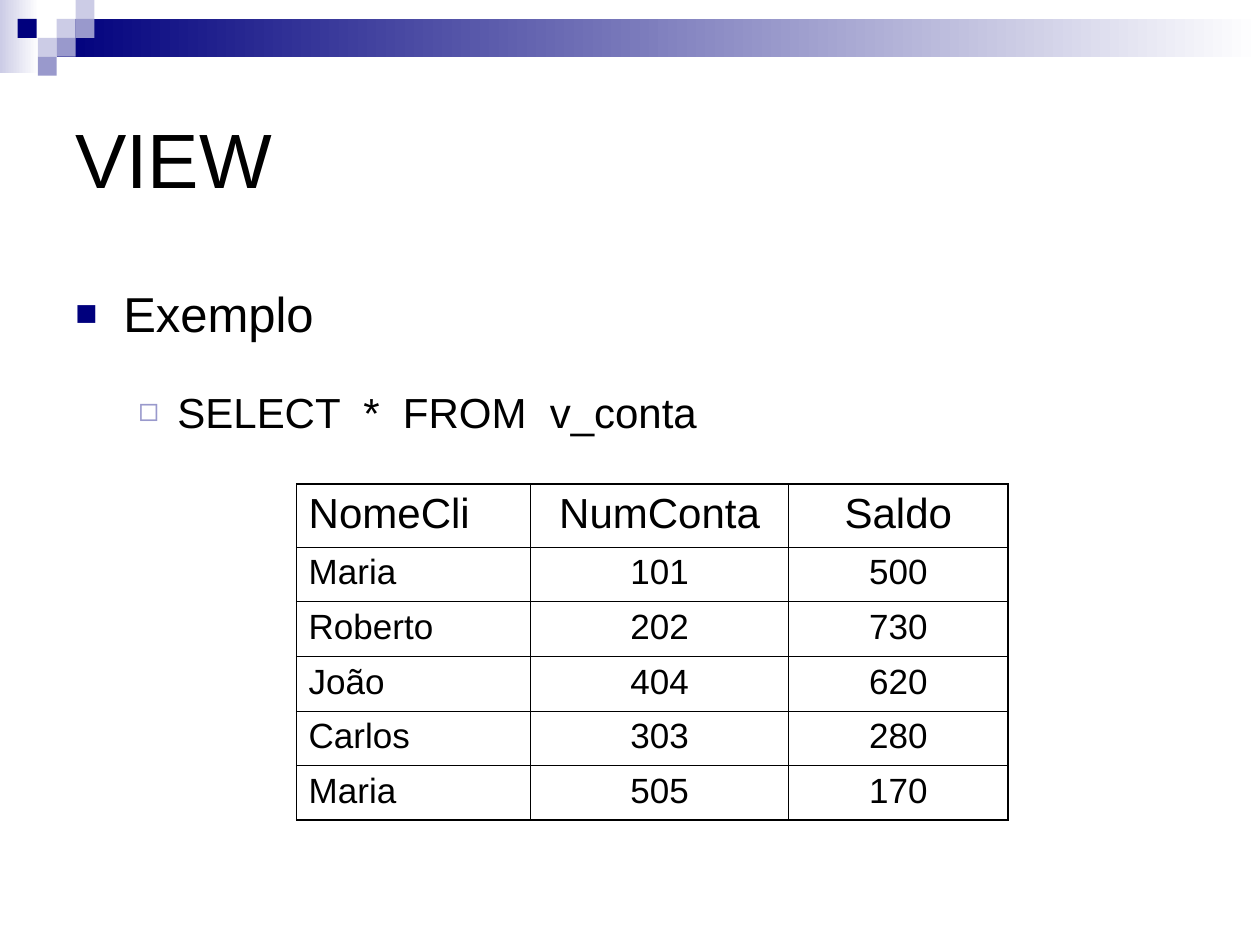
from lxml import etree
from pptx import Presentation, util as u
from pptx.dml.color import RGBColor
from pptx.enum import shapes, text
from pptx.oxml import ns

HUES = {"ink": "000000", "navy": "00007D", "mid": "9999CC",
        "pale": "CCCCE6", "white": "FFFFFF"}
FONT = "Arial"
UNIT = 0.05  # grid step in inches: 200 columns by 150 rows
THIN, THICK = 0.45, 1.08


def hue(name):
    return RGBColor.from_string(HUES[name])


def grid(*steps):
    return [u.Inches(step * UNIT) for step in steps]


def add(parent, tag, **attrs):
    return etree.SubElement(parent, ns.qn("a:" + tag), attrs)


class Deck:
    def __init__(self):
        self.file = Presentation()
        self.file.slide_width, self.file.slide_height = grid(200, 150)
        self.slide = self.file.slides.add_slide(self.file.slide_layouts[6])

    def style(self, para, size):
        for run in para.runs:
            run.font.name, run.font.size = FONT, u.Pt(size)
            run.font.color.rgb = hue("ink")

    def rect(self, place, *tones):
        """Draw a plain block, or a left-to-right fade for two tones."""
        shape = self.slide.shapes.add_shape(
            shapes.MSO_SHAPE.RECTANGLE, *grid(*place))
        shape.shadow.inherit = False
        shape.line.fill.background()
        if len(tones) == 1:
            shape.fill.solid()
            shape.fill.fore_color.rgb = hue(tones[0])
            return
        shape.fill.gradient()
        shape.fill.gradient_angle = 0
        for stop, tone, pos in zip(shape.fill.gradient_stops, tones, (0, 1)):
            stop.color.rgb, stop.position = hue(tone), pos

    def box(self, place, anchor):
        frame = self.slide.shapes.add_textbox(*grid(*place)).text_frame
        frame.word_wrap = True
        frame.vertical_anchor = anchor
        return frame

    def title(self, place, words):
        frame = self.box(place, text.MSO_ANCHOR.MIDDLE)
        frame.text = words
        self.style(frame.paragraphs[0], 44)

    def bullets(self, place, items):
        frame = self.box(place, text.MSO_ANCHOR.TOP)
        frame.margin_top = u.Inches(0.08)
        frame.text = "\n".join(item[0] for item in items)
        for para, item in zip(frame.paragraphs, items):
            _, size, level, left, hang, gap, mark, tone, scale = item
            para.level = level
            para.space_before = u.Pt(gap)
            props = para._p.get_or_add_pPr()
            props.set("marL", str(u.Inches(left)))
            props.set("indent", str(-u.Inches(hang)))
            add(add(props, "buClr"), "srgbClr", val=HUES[tone])
            add(props, "buSzPct", val=str(scale * 1000))
            add(props, "buFont", typeface=FONT)
            add(props, "buChar", char=mark)
            self.style(para, size)

    def edges(self, cell, widths):
        props = cell._tc.get_or_add_tcPr()
        for side, width in zip("LRTB", widths):
            line = add(props, "ln" + side, w=str(u.Pt(width)))
            add(add(line, "solidFill"), "srgbClr", val=HUES["ink"])

    def table(self, place, widths, head, rows):
        last, end = len(rows) - 1, len(widths) - 1
        table = self.slide.shapes.add_table(
            len(rows), len(widths), *grid(*place)).table
        table.first_row = table.horz_banding = False
        for col, width in zip(table.columns, grid(*widths)):
            col.width = width
        high = (place[3] - head) / last
        for r, values in enumerate(rows):
            table.rows[r].height = grid(high if r else head)[0]
            for c, value in enumerate(values):
                cell = table.cell(r, c)
                cell.text = value
                para = cell.text_frame.paragraphs[0]
                para.alignment = (text.PP_ALIGN.CENTER if c
                                  else text.PP_ALIGN.LEFT)
                self.style(para, 20 if r else 24)
                self.edges(cell, (THIN, THICK if c == end else THIN,
                                  THIN if r else THICK,
                                  THICK if r == last else THIN))
                cell.fill.background()


def main():
    deck = Deck()

    # Top band: two fades and a mosaic of small squares
    deck.rect((0, 0, 6.2, 11.6), "pale", "white")
    deck.rect((9, 3, 191, 6), "navy", "white")
    tiles = [(9, 3, "pale"), (12, 0, "pale"), (12, 3, "mid"), (6, 6, "pale"),
             (2.8, 3, "navy"), (9, 6, "mid"), (6, 9, "mid")]
    for left, top, tone in tiles:
        deck.rect((left, top, 3, 3), tone)

    # Title and bullets
    deck.title((10, 10, 180, 30), "VIEW")
    deck.bullets((10, 43.4, 165.6, 28.6), [
        ("Exemplo", 28, 0, 0.38, 0.38, 0, "■", "navy", 75),
        ("SELECT  *  FROM  v_conta", 24, 1, 0.81, 0.31, 25, "◻", "mid", 80),
    ])

    # Query result
    deck.table((47, 76.8, 113, 53.4), (37.2, 41, 34.8), 10, [
        ("NomeCli", "NumConta", "Saldo"),
        ("Maria", "101", "500"),
        ("Roberto", "202", "730"),
        ("João", "404", "620"),
        ("Carlos", "303", "280"),
        ("Maria", "505", "170"),
    ])

    deck.file.save("out.pptx")


if __name__ == "__main__":
    main()
